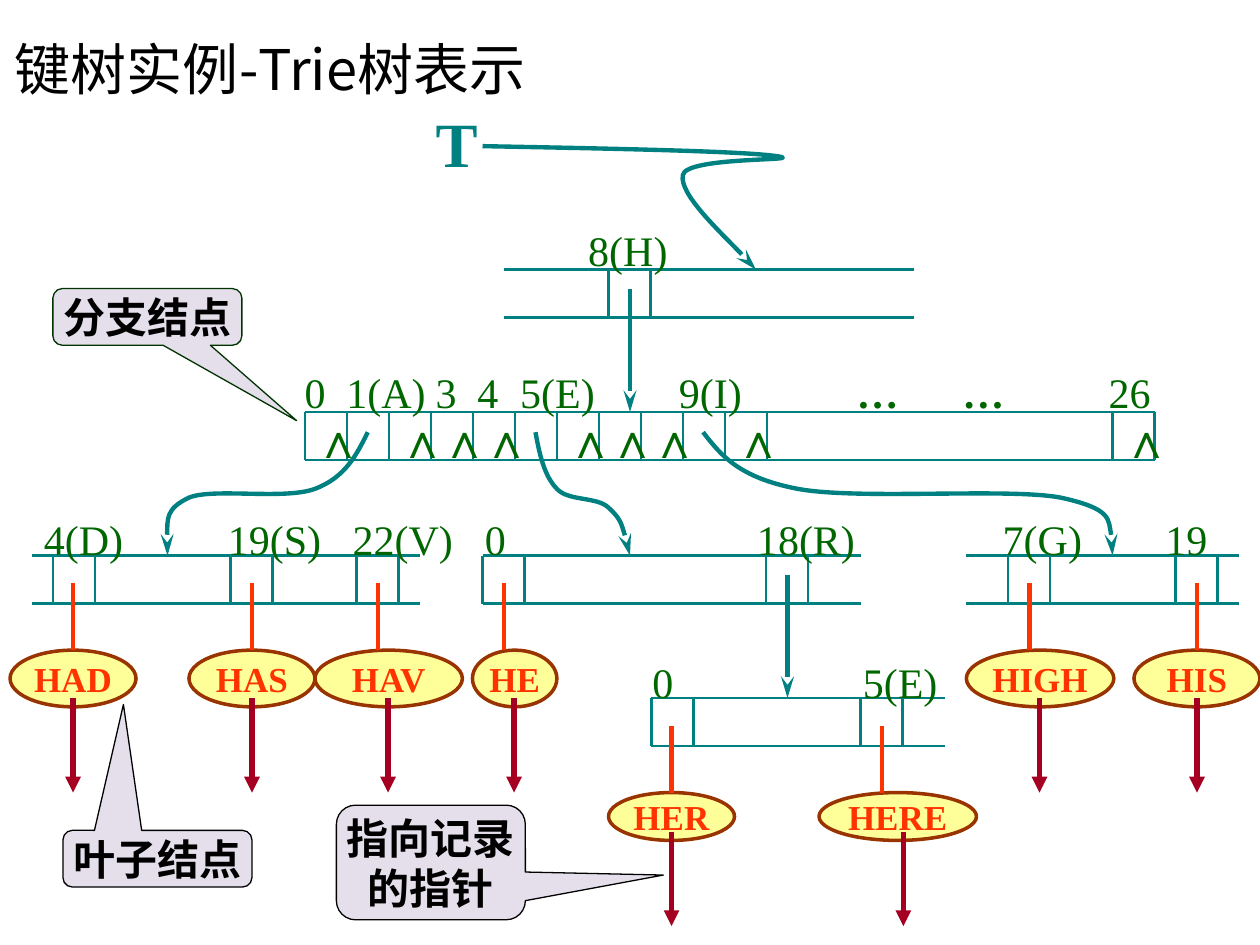
from lxml import etree
from pptx import Presentation
from pptx.dml.color import RGBColor
from pptx.enum.shapes import MSO_CONNECTOR, MSO_SHAPE as SHAPE
from pptx.enum.text import MSO_ANCHOR as ANCHOR, PP_ALIGN as ALIGN
from pptx.oxml.ns import qn
from pptx.util import Inches, Pt

COLORS = {
    "teal": "008080", "green": "006600", "stem": "FF3300", "leaf": "FFFF99",
    "leaf_edge": "993300", "record": "A50021", "callout": "CCC1DA",
    "dark_green": "003300", "black": "000000",
}
SERIF, CJK, TITLE_FONT = "Times New Roman", "Noto Sans CJK SC", "Noto Sans CJK JP"
STEALTH = {"type": "stealth", "len": "lg"}
CELL, NODE_H = 1 / 3, 0.38
ROOT, LEVEL2, LEVEL3, LEVEL4 = 2.14, 3.27, 4.41, 5.54

prs = Presentation()
prs.slide_width, prs.slide_height = Inches(10), Inches(7.5)
shapes = prs.slides.add_slide(prs.slide_layouts[6]).shapes


def add_line(x1, y1, x2, y2, color="teal", width=1.5, head=None):
    line = shapes.add_connector(MSO_CONNECTOR.STRAIGHT, *map(Inches, (x1, y1, x2, y2)))
    line.line.color.rgb = RGBColor.from_string(COLORS[color])
    line.line.width = Pt(width)
    if head:
        etree.SubElement(line.line._get_or_add_ln(), qn("a:tailEnd"), head)
    etree.SubElement(line._element.spPr, qn("a:effectLst"))


def write(shape, text, size, color, font=SERIF, bold=False, align=ALIGN.LEFT,
          anchor=ANCHOR.TOP, wrap=False):
    frame = shape.text_frame
    frame.text = text
    frame.word_wrap = wrap
    frame.vertical_anchor = anchor
    for paragraph in frame.paragraphs:
        paragraph.alignment = align
        style = paragraph.font
        style.size, style.bold, style.name = Pt(size), bold, font
        style.color.rgb = RGBColor.from_string(COLORS[color])
        if font != SERIF:
            etree.SubElement(style._element, qn("a:ea"), typeface=font)


# Branch nodes: left, right, top, left edges of the drawn cells
nodes = [
    (4, 7.25, ROOT, [4.83]),
    (2.42, 9.17, LEVEL2, [2.42 + 2 * i * CELL for i in range(6)] + [8.83]),
    (0.25, 3.33, LEVEL3, [0.42, 1.83, 2.83]),
    (7.67, 9.83, LEVEL3, [8, 9.33]),
    (3.83, 6.83, LEVEL3, [3.83, 6.08]),
    (5.17, 7.5, LEVEL4, [5.17, 6.83]),
]
for left, right, top, cells in nodes:
    for y in (top + NODE_H, top):
        add_line(left, y, right, y)
    for cell in cells:
        for x in (cell, cell + CELL):
            add_line(x, top, x, top + NODE_H)

# Key labels above the cells: top of the row, then text and left edge
labels = {
    1.73: [("8(H)", 4.57)],
    2.86: [("0", 2.32), ("1(A)", 2.65), ("3", 3.36), ("4", 3.69), ("5(E)", 4.03),
           ("9(I)", 5.29), ("…", 6.7), ("…", 7.54), ("26", 8.7)],
    4.03: [("4(D)", 0.25), ("19(S)", 1.71), ("22(V)", 2.7), ("0", 3.75),
           ("18(R)", 5.91), ("7(G)", 7.86), ("19", 9.15)],
    5.16: [("0", 5.08), ("5(E)", 6.75)],
}
for top, row in labels.items():
    for key, left in row:
        box = shapes.add_textbox(Inches(left), Inches(top), Inches(1.1), Inches(0.45))
        write(box, key, 24, "green", bold=key == "…", wrap=True)

# Straight links between branch nodes
for x, top in ((5, ROOT), (6.25, LEVEL3)):
    add_line(x, top + 0.15, x, top + 1.13, width=2.5, head=STEALTH)

# Curved links: a start point, then three points for each Bézier segment
curves = [
    [(3.83, 1.16), (4.87, 1.18), (5.9, 1.2), (6.17, 1.24), (6.43, 1.28),
     (5.44, 1.24), (5.42, 1.39), (5.39, 1.54), (5.9, 2.02), (6, 2.14)],
    [(2.92, 3.43), (2.83, 3.61), (2.74, 3.79), (2.5, 3.88), (2.26, 3.97),
     (1.69, 3.87), (1.5, 3.95), (1.31, 4.04), (1.32, 4.22), (1.33, 4.41)],
    [(4.25, 3.43), (4.28, 3.6), (4.32, 3.78), (4.42, 3.88), (4.51, 3.98),
     (4.74, 3.94), (4.83, 4.03), (4.93, 4.12), (4.97, 4.26), (5, 4.41)],
    [(5.58, 3.43), (5.72, 3.61), (5.86, 3.79), (6.33, 3.88), (6.81, 3.97),
     (8, 3.87), (8.42, 3.95), (8.83, 4.04), (8.83, 4.22), (8.83, 4.41)],
]
for points in curves:
    # Freeform vertices are whole numbers, so they are given in EMU
    start, *rest = [(Inches(x), Inches(y)) for x, y in points]
    builder = shapes.build_freeform(*start)
    builder.add_line_segments(rest, close=False)
    curve = builder.convert_to_shape()
    curve.shadow.inherit = False
    curve.fill.background()
    curve.line.color.rgb = RGBColor.from_string(COLORS["teal"])
    curve.line.width = Pt(2.5)
    etree.SubElement(curve.line._get_or_add_ln(), qn("a:tailEnd"), STEALTH)
    steps = list(curve._element.iter(qn("a:lnTo")))
    outline = steps[0].getparent()
    for i in range(0, len(steps), 3):
        bezier = etree.SubElement(outline, qn("a:cubicBezTo"))
        for step in steps[i:i + 3]:
            bezier.append(step[0])
            outline.remove(step)

root_name = shapes.add_textbox(Inches(3.36), Inches(0.78), Inches(0.56), Inches(0.64))
write(root_name, "T", 36, "teal", bold=True, wrap=True)

# Leaves: word, left, width, height, stem x, record pointer x, top of the parent node
leaves = [
    ("HAD", 0.08, 1, 0.45, 0.58, 0.58, LEVEL3),
    ("HAS", 1.5, 1, 0.45, 2, 2, LEVEL3),
    ("HAV", 2.5, 1.17, 0.45, 3, 3.08, LEVEL3),
    ("HE", 3.75, 0.67, 0.45, 4, 4.08, LEVEL3),
    ("HER", 4.83, 1, 0.38, 5.33, 5.33, LEVEL4),
    ("HERE", 6.5, 1.25, 0.38, 7, 7.17, LEVEL4),
    ("HIGH", 7.67, 1.17, 0.45, 8.17, 8.25, LEVEL3),
    ("HIS", 9, 1, 0.45, 9.5, 9.5, LEVEL3),
]
for word, left, width, height, stem, pointer, parent in leaves:
    top = parent + 0.75
    leaf = shapes.add_shape(SHAPE.OVAL, *map(Inches, (left, top, width, height)))
    leaf.shadow.inherit = False
    leaf.fill.solid()
    leaf.fill.fore_color.rgb = RGBColor.from_string(COLORS["leaf"])
    leaf.line.color.rgb = RGBColor.from_string(COLORS["leaf_edge"])
    leaf.line.width = Pt(2)
    write(leaf, word, 20, "stem", bold=True, align=ALIGN.CENTER, anchor=ANCHOR.MIDDLE)
    add_line(stem, top - 0.53, stem, top, "stem", 2.5)
    start = top + height - 0.07
    add_line(pointer, start, pointer, start + 0.75, "record", 3, {"type": "triangle"})

# Empty pointers of the second-level node, by cell number
for left in [2.4 + i * CELL for i in (0, 2, 3, 4, 6, 7, 8, 10)] + [8.81]:
    null_mark = shapes.add_textbox(Inches(left), Inches(3.2), Inches(0.44), Inches(0.51))
    write(null_mark, "∧", 28, "green")

callouts = [
    ("叶子结点", 0.5, 6.59, 0.45, (-0.18, -2.72), "black"),
    ("分支结点", 0.42, 2.29, 0.45, (0.79, 1.83), "dark_green"),
    ("指向记录\n的指针", 2.67, 6.39, 0.91, (1.23, 0.11), "black"),
]
for text, left, top, height, tip, edge in callouts:
    callout = shapes.add_shape(SHAPE.ROUNDED_RECTANGULAR_CALLOUT,
                               *map(Inches, (left, top, 1.5, height)))
    callout.adjustments[0], callout.adjustments[1] = tip
    callout.shadow.inherit = False
    callout.fill.solid()
    callout.fill.fore_color.rgb = RGBColor.from_string(COLORS["callout"])
    fill_color = callout._element.spPr.find(qn("a:solidFill"))[0]
    etree.SubElement(fill_color, qn("a:alpha"), val="50000")
    callout.line.color.rgb = RGBColor.from_string(COLORS[edge])
    callout.line.width = Pt(0.75)
    write(callout, text, 24, "black", CJK, True, ALIGN.CENTER, ANCHOR.MIDDLE)

title = shapes.add_textbox(Inches(0.02), Inches(0.03), Inches(9), Inches(1.02))
write(title, "键树实例-Trie树表示", 32, "black", TITLE_FONT, anchor=ANCHOR.MIDDLE, wrap=True)

prs.save("out.pptx")
